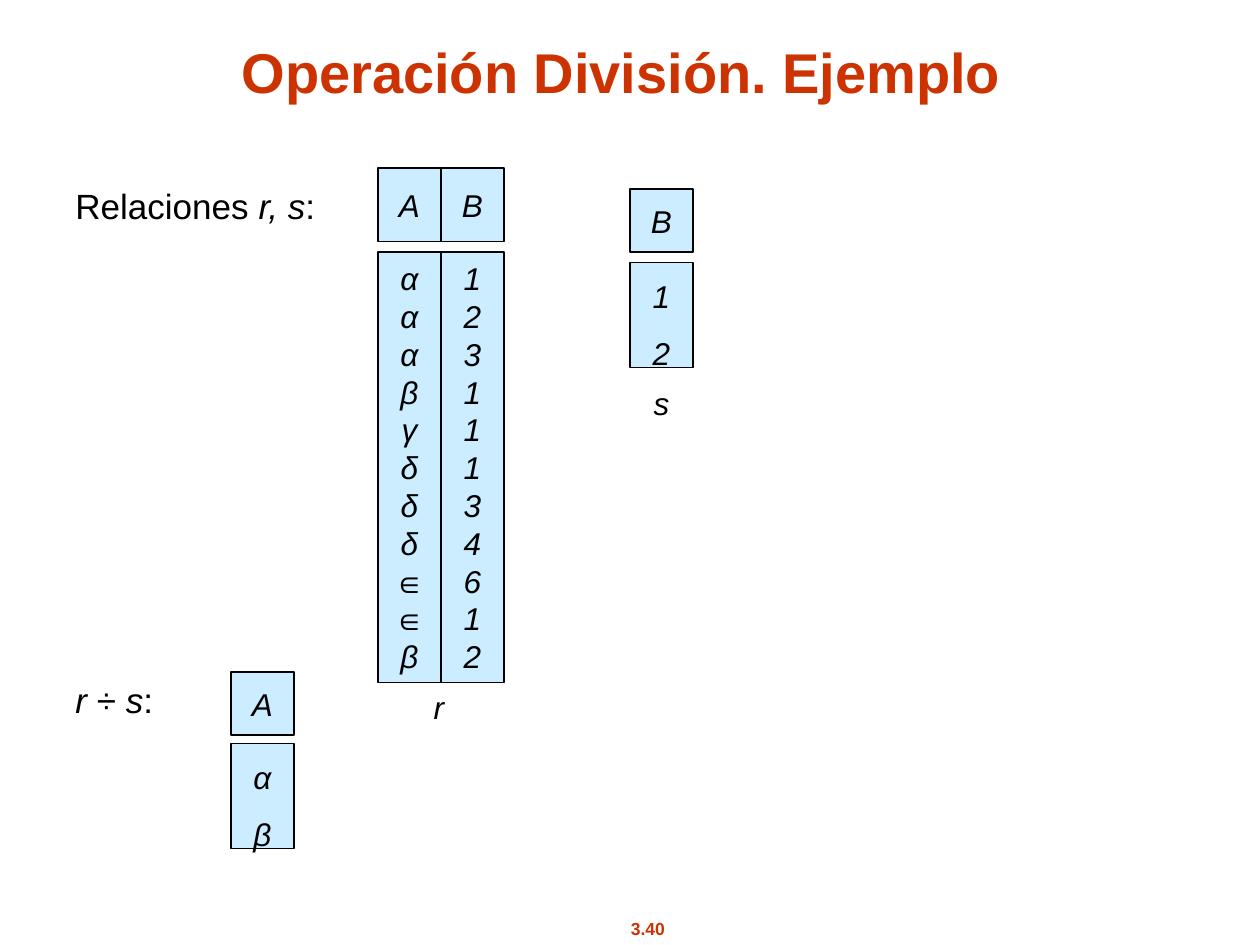
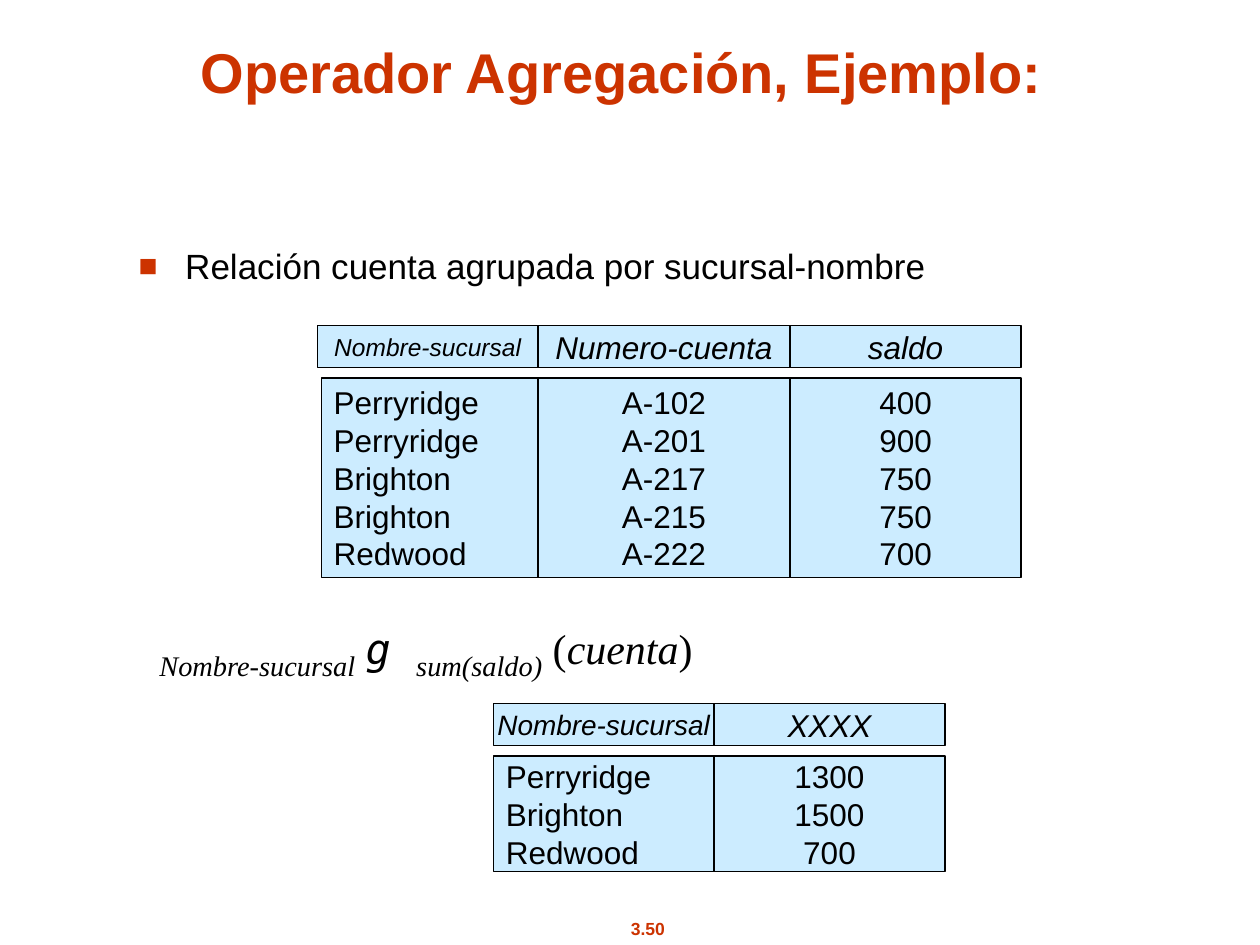
"""Build two slides on the division and aggregation operators of relational algebra."""
from lxml.etree import SubElement
from pptx import Presentation
from pptx.dml.color import RGBColor
from pptx.enum.shapes import MSO_SHAPE
from pptx.enum.text import MSO_ANCHOR, MSO_AUTO_SIZE, PP_ALIGN
from pptx.oxml.ns import qn
from pptx.util import Inches, Pt

RED = RGBColor(0xCC, 0x33, 0x00)
BLACK = RGBColor(0x00, 0x00, 0x00)
PALE_BLUE = RGBColor(0xCC, 0xEC, 0xFF)
LEFT, CENTER = PP_ALIGN.LEFT, PP_ALIGN.CENTER
COLUMNS = 120

TITLE_AREA = (6.2, 2.6, 106, 8)
BODY_AREA = (12, 22.7, 92.3, 5.4)
FOOTER_AREA = (55.8, 86.8, 11.8, 3.2)
TITLE_FORMAT = {"size": 32, "bold": True, "color": RED}
FOOTER_FORMAT = {"size": 10, "bold": True, "color": RED}
ITALIC = {"italic": True}
SUBSCRIPT = {"name": "Times New Roman", "size": 28, "italic": True, "baseline": -25}
SERIF = {"name": "Times New Roman", "size": 24}

deck = Presentation()
deck.slide_width, deck.slide_height = Inches(10), Inches(7.5)


def grid(*cells):
    """Turn counts of grid cells into lengths."""
    return [round(count * deck.slide_width / COLUMNS) for count in cells]


def write(shape, paragraphs, align=LEFT, anchor=MSO_ANCHOR.TOP, spacing=1.0, **shared):
    """Fill a shape with paragraphs, each a list of (text, format) spans."""
    box = shape.text_frame
    settings = {"auto_size": MSO_AUTO_SIZE.NONE, "word_wrap": align == LEFT,
                "vertical_anchor": anchor}
    for name, value in settings.items():
        setattr(box, name, value)
    for index, spans in enumerate(paragraphs):
        para = box.add_paragraph() if index else box.paragraphs[0]
        para.alignment, para.line_spacing, para.space_before = align, spacing, Pt(0)
        for text, own in spans:
            span = para.add_run()
            span.text = text
            values = {"name": "Arial", "size": 18, "bold": False, "italic": False,
                      "color": BLACK, "baseline": 0, **shared, **own}
            span.font.color.rgb = values.pop("color")
            baseline = values.pop("baseline")
            if baseline:
                span.font._element.set("baseline", str(baseline * 1000))
            values["size"] = Pt(values["size"])
            for name, value in values.items():
                setattr(span.font, name, value)


pages = []
for layout, title, number in [(5, "Operación División. Ejemplo", "3.40"),
                              (1, "Operador Agregación, Ejemplo:", "3.50")]:
    page = deck.slides.add_slide(deck.slide_layouts[layout])
    heading = page.shapes.title
    heading.left, heading.top, heading.width, heading.height = grid(*TITLE_AREA)
    write(heading, [[(title, {})]], CENTER, MSO_ANCHOR.BOTTOM, **TITLE_FORMAT)
    footer = page.shapes.add_textbox(*grid(*FOOTER_AREA))
    write(footer, [[(number, {})]], CENTER, **FOOTER_FORMAT)
    pages.append(page)
division, aggregation = pages

body = aggregation.placeholders[1]
body.left, body.top, body.width, body.height = grid(*BODY_AREA)
properties = body.text_frame.paragraphs[0]._p.get_or_add_pPr()
properties.set("marL", str(Inches(0.37)))
properties.set("indent", str(-Inches(0.37)))
bullet_color = SubElement(properties, qn("a:buClr"))
SubElement(bullet_color, qn("a:srgbClr"), val=str(RED))
SubElement(properties, qn("a:buSzPct"), val="90000")
SubElement(properties, qn("a:buFont"), typeface="Arial")
SubElement(properties, qn("a:buChar"), char="■")
write(body, [[("Relación cuenta agrupada por sucursal-nombre", {})]], size=20)

texts = [
    (division, (6, 17, 92.3, 4.3), LEFT, 20,
     [("Relaciones ", {}), ("r, s", ITALIC), (":", {})]),
    (division, (6, 64, 92.3, 4.3), LEFT, 20,
     [("r ", ITALIC), ("÷ ", {}), ("s", ITALIC), (":", {})]),
    (division, (40.1, 64.9, 3.4, 4.8), CENTER, 18, [("r", ITALIC)]),
    (division, (61.1, 36, 3.8, 4.8), CENTER, 18, [("s", ITALIC)]),
    (aggregation, (14, 58, 92.3, 5.4), LEFT, 24,
     [("Nombre-sucursal", SUBSCRIPT), (" ", SERIF),
      ("g ", {"name": "DejaVu Sans Mono", "italic": True}),
      ("sum(saldo)", SUBSCRIPT), (" (", SERIF),
      ("cuenta", {**SERIF, **ITALIC}), (")", SERIF)]),
]
for page, area, align, size, spans in texts:
    box = page.shapes.add_textbox(*grid(*area))
    anchor = MSO_ANCHOR.MIDDLE if align == CENTER else MSO_ANCHOR.TOP
    write(box, [spans], align, anchor, size=size)

relations = [
    {"page": division, "left": 22, "top": 64, "head": 6, "gap": 0.8, "body": 10,
     "spacing": 1.5, "italic": True,
     "columns": [(6, "A", 18, CENTER, "α β")]},
    {"page": division, "left": 60, "top": 18, "head": 6, "body": 10,
     "spacing": 1.5, "italic": True,
     "columns": [(6, "B", 18, CENTER, "1 2")]},
    {"page": division, "left": 36, "top": 16, "head": 7, "body": 41, "italic": True,
     "columns": [(6, "A", 18, CENTER, "α α α β γ δ δ δ ∈ ∈ β"),
                 (6, "B", 18, CENTER, "1 2 3 1 1 1 3 4 6 1 2")]},
    {"page": aggregation, "left": 30.24, "top": 31, "head": 4, "body": 19, "shift": 0.36,
     "columns": [
         (21, "Nombre-sucursal", 14, LEFT, "Perryridge Perryridge Brighton Brighton Redwood"),
         (24, "Numero-cuenta", 18, CENTER, "A-102 A-201 A-217 A-215 A-222"),
         (22, "saldo", 18, CENTER, "400 900 750 750 700")]},
    {"page": aggregation, "left": 47, "top": 67, "head": 4, "body": 11,
     "columns": [(21, "Nombre-sucursal", 16, LEFT, "Perryridge Brighton Redwood"),
                 (22, "XXXX", 18, CENTER, "1300 1500 700")]},
]
for relation in relations:
    left, top, head = relation["left"], relation["top"], relation["head"]
    body_top = top + head + relation.get("gap", 1)
    shift = relation.get("shift", 0)
    for width, name, size, align, values in relation["columns"]:
        cells = [
            ((left, top, width, head), [name], CENTER, 1.0, size, True),
            ((left + shift, body_top, width, relation["body"]), values.split(), align,
             relation.get("spacing", 1.0), 18, relation.get("italic", False)),
        ]
        for area, lines, cell_align, spacing, cell_size, italic in cells:
            cell = relation["page"].shapes.add_shape(MSO_SHAPE.RECTANGLE, *grid(*area))
            cell.shadow.inherit = False
            cell.fill.solid()
            cell.fill.fore_color.rgb = PALE_BLUE
            cell.line.color.rgb = BLACK
            cell.line.width = Pt(0.75)
            write(cell, [[(line, {})] for line in lines], cell_align, MSO_ANCHOR.MIDDLE,
                  spacing, size=cell_size, italic=italic)
        left += width
        shift = 0

deck.save("out.pptx")
